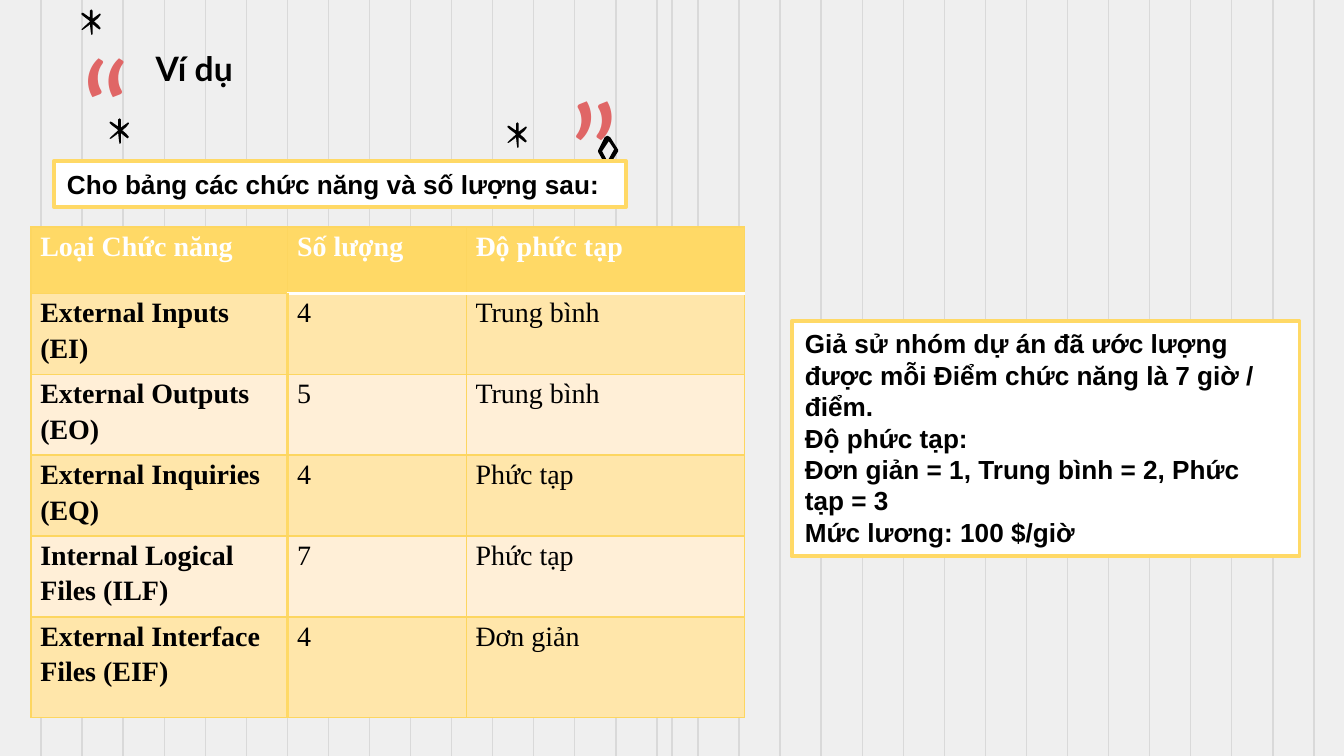
import pptx
import pptx.dml.color
import pptx.enum.shapes
import pptx.enum.text
import pptx.oxml
import pptx.oxml.ns
import pptx.util
from dataclasses import dataclass

COLORS = {
    "paper": "EFEFEF", "rule": "D9D9D9", "quote": "E06666", "ink": "000000",
    "white": "FFFFFF", "gold": "FFD966", "edge": "FDD660",
    "dark_band": "FFE6AA", "light_band": "FFEFD7",
}
SLIDE_WIDTH = pptx.util.Inches(10)
SLIDE_HEIGHT = pptx.util.Inches(5.625)
RULE_COUNT = 32
RULE_PITCH = 3.055
UNITS_PER_INCH = 1000

ASTERISK = [[
    (80, 0), (70, 10), (70, 60), (60, 55), (20, 27), (10, 25), (5, 35), (20, 50),
    (60, 80), (70, 90), (20, 135), (5, 150), (15, 153), (60, 120), (70, 110),
    (75, 160), (80, 190), (90, 185), (90, 120), (90, 110), (120, 135), (140, 150),
    (150, 140), (130, 115), (100, 90), (130, 65), (150, 40), (145, 30), (110, 55),
    (90, 70), (90, 35), (90, 10),
]]
DIAMOND = [
    [(70, 0), (50, 10), (0, 110), (0, 120), (50, 210), (70, 220), (90, 210),
     (150, 115), (150, 105), (90, 10)],
    [(80, 40), (120, 100), (70, 190), (30, 115)],
]

ROWS = [
    ("Loại Chức năng", "Số lượng", "Độ phức tạp"),
    ("External Inputs (EI)", "4", "Trung bình"),
    ("External Outputs (EO)", "5", "Trung bình"),
    ("External Inquiries (EQ)", "4", "Phức tạp"),
    ("Internal Logical Files (ILF)", "7", "Phức tạp"),
    ("External Interface Files (EIF)", "4", "Đơn giản"),
]
COLUMN_SHARES = [0.36, 0.25, 0.39]
ROW_SHARES = [0.135] + [0.165] * 4 + [0.205]


@dataclass
class Frame:
    left: float
    top: float
    width: float = 0
    height: float = 0

    def place(self) -> tuple:
        return (across(self.left), down(self.top), across(self.width), down(self.height))


@dataclass
class Heading:
    text: str
    frame: Frame
    size: int
    color: str
    bold: bool = False
    centered: bool = False


@dataclass
class Panel:
    lines: list
    frame: Frame


@dataclass
class Ornament:
    contours: list
    frame: Frame


HEADINGS = [
    Heading("“", Frame(-3.3, 1.78, 22.4, 11.2), 72, "quote", centered=True),
    Heading("”", Frame(33, 7.47, 22.4, 11.2), 72, "quote", centered=True),
    Heading("Ví dụ", Frame(10.6, 4.62, 31.7, 11.2), 18, "ink", bold=True),
]
ORNAMENTS = [
    Ornament(DIAMOND, Frame(44.5, 17.96)),
    Ornament(ASTERISK, Frame(8.1, 15.64)),
    Ornament(ASTERISK, Frame(37.7, 16.18)),
    Ornament(ASTERISK, Frame(6, 1.24)),
]
PANELS = [
    Panel([
        "Giả sử nhóm dự án đã ước lượng được mỗi Điểm chức năng là 7 giờ / điểm.",
        "Độ phức tạp:",
        "Đơn giản = 1, Trung bình = 2, Phức tạp = 3",
        "Mức lương: 100 $/giờ",
    ], Frame(58.9, 42.49, 37.8, 31.11)),
    Panel(["Cho bảng các chức năng và số lượng sau:"], Frame(4, 21.33, 42.6, 6.04)),
]
TABLE_FRAME = Frame(2.3, 30.04, 53.1, 64.89)


def across(percent: float) -> int:
    return round(SLIDE_WIDTH * percent / 100)


def down(percent: float) -> int:
    return round(SLIDE_HEIGHT * percent / 100)


def color(name: str) -> pptx.dml.color.RGBColor:
    return pptx.dml.color.RGBColor.from_string(COLORS[name])


def paint(fill, name: str) -> None:
    fill.solid()
    fill.fore_color.rgb = color(name)


def style_text(frame, font: str, size: float, ink: str, bold: bool, align=None) -> None:
    for para in frame.paragraphs:
        para.alignment = align or pptx.enum.text.PP_ALIGN.LEFT
        for span in para.runs:
            span.font.name = font
            span.font.size = pptx.util.Pt(size)
            span.font.bold = bold
            span.font.color.rgb = color(ink)


def draw_rule(page, percent: float) -> None:
    x = across(percent)
    rule = page.shapes.add_connector(
        pptx.enum.shapes.MSO_CONNECTOR.STRAIGHT, x, 0, x, SLIDE_HEIGHT)
    rule.line.color.rgb = color("rule")
    rule.line.width = pptx.util.Pt(0.75)
    rule._element.spPr.append(pptx.oxml.parse_xml(
        f'<a:effectLst {pptx.oxml.ns.nsdecls("a")}/>'))


def draw_heading(page, heading: Heading) -> None:
    box = page.shapes.add_textbox(*heading.frame.place())
    frame = box.text_frame
    frame.word_wrap = True
    frame.margin_left = frame.margin_right = pptx.util.Inches(0.1)
    frame.margin_top = frame.margin_bottom = pptx.util.Inches(0.1)
    frame.text = heading.text
    align = pptx.enum.text.PP_ALIGN.CENTER if heading.centered else None
    style_text(frame, "Lato", heading.size, heading.color, heading.bold, align)


def draw_ornament(page, ornament: Ornament) -> None:
    first, *holes = ornament.contours
    builder = page.shapes.build_freeform(*first[0], scale=pptx.util.Inches(1) / UNITS_PER_INCH)
    builder.add_line_segments(first[1:], close=True)
    for hole in holes:
        builder.move_to(*hole[0])
        builder.add_line_segments(hole[1:], close=True)
    shape = builder.convert_to_shape(*ornament.frame.place()[:2])
    shape.shadow.inherit = False
    paint(shape.fill, "ink")
    shape.line.fill.background()


def draw_panel(page, panel: Panel) -> None:
    box = page.shapes.add_shape(
        pptx.enum.shapes.MSO_SHAPE.RECTANGLE, *panel.frame.place())
    box.shadow.inherit = False
    paint(box.fill, "white")
    box.line.color.rgb = color("gold")
    box.line.width = pptx.util.Pt(2)
    frame = box.text_frame
    frame.word_wrap = True
    frame.auto_size = pptx.enum.text.MSO_AUTO_SIZE.SHAPE_TO_FIT_TEXT
    frame.vertical_anchor = pptx.enum.text.MSO_ANCHOR.TOP
    frame.text = "\n".join(panel.lines)
    style_text(frame, "Arial", 14, "ink", True)


def column_edge(row: int, edge: int) -> tuple:
    return ("gold", 2) if row > 0 and edge == 1 else ("edge", 0.75)


def row_edge(column: int, edge: int) -> tuple:
    return ("white", 2) if column > 0 and edge == 1 else ("edge", 0.75)


def draw_borders(cell, row: int, column: int) -> None:
    borders = {
        "lnL": column_edge(row, column), "lnR": column_edge(row, column + 1),
        "lnT": row_edge(column, row), "lnB": row_edge(column, row + 1),
    }
    for tag, (name, points) in borders.items():
        cell._tc.get_or_add_tcPr().append(pptx.oxml.parse_xml(
            f'<a:{tag} {pptx.oxml.ns.nsdecls("a")} w="{pptx.util.Pt(points)}">'
            f'<a:solidFill><a:srgbClr val="{COLORS[name]}"/></a:solidFill></a:{tag}>'))


def draw_table(page) -> None:
    place = TABLE_FRAME.place()
    table = page.shapes.add_table(len(ROWS), len(COLUMN_SHARES), *place).table
    table.horz_banding = False
    for column, share in zip(table.columns, COLUMN_SHARES):
        column.width = round(place[2] * share)
    for row, share in zip(table.rows, ROW_SHARES):
        row.height = round(place[3] * share)
    for i, texts in enumerate(ROWS):
        band = "gold" if i == 0 else "dark_band" if i % 2 else "light_band"
        for j, text in enumerate(texts):
            cell = table.cell(i, j)
            cell.margin_left = cell.margin_right = pptx.util.Inches(0.07)
            cell.margin_top = cell.margin_bottom = 0
            cell.text_frame.text = text
            para = cell.text_frame.paragraphs[0]
            para.line_spacing = 1.15
            para.space_after = pptx.util.Pt(10)
            style_text(cell.text_frame, "Times New Roman", 15,
                       "ink" if i else "white", i == 0 or j == 0)
            draw_borders(cell, i, j)
            paint(cell.fill, band)


def main() -> None:
    deck = pptx.Presentation()
    deck.slide_width, deck.slide_height = SLIDE_WIDTH, SLIDE_HEIGHT
    page = deck.slides.add_slide(deck.slide_layouts[6])
    paint(page.background.fill, "paper")
    for percent in [RULE_PITCH * (i + 1) for i in range(RULE_COUNT)] + [50]:
        draw_rule(page, percent)
    for ornament in ORNAMENTS:
        draw_ornament(page, ornament)
    for heading in HEADINGS:
        draw_heading(page, heading)
    draw_table(page)
    for panel in PANELS:
        draw_panel(page, panel)
    deck.save("out.pptx")


if __name__ == "__main__":
    main()
